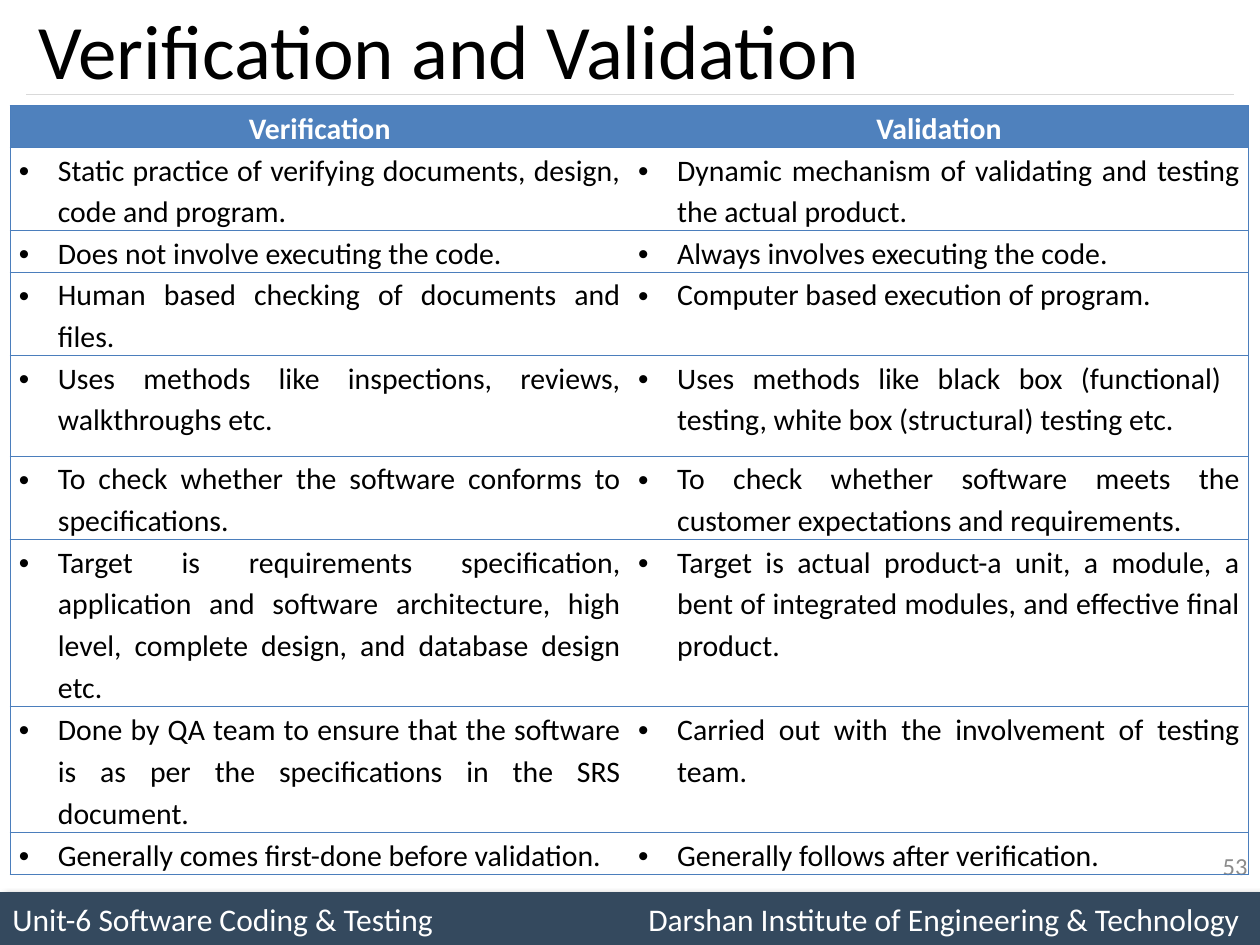
from lxml import etree
from pptx import Presentation
from pptx.dml.color import RGBColor
from pptx.enum import shapes, text
from pptx.oxml import ns
from pptx.util import Inches, Pt

WHITE = RGBColor(0xFF, 0xFF, 0xFF)
BLACK = RGBColor(0, 0, 0)
GREY = RGBColor(0x8C, 0x8C, 0x8C)
RULE = RGBColor(0xD9, 0xD9, 0xD9)
NAVY = RGBColor(0x34, 0x49, 0x5E)
HEADER_BLUE = RGBColor(0x4F, 0x81, 0xBD)
BORDER_BLUE = RGBColor(0x4B, 0x7E, 0xBC)

COMPARISON = [
    ("Verification", "Validation"),
    ("Static practice of verifying documents, design, code and program.",
     "Dynamic mechanism of validating and testing the actual product."),
    ("Does not involve executing the code.",
     "Always involves executing the code."),
    ("Human based checking of documents and files.",
     "Computer based execution of program."),
    ("Uses methods like inspections, reviews, walkthroughs etc.",
     "Uses methods like black box (functional)  testing, "
     "white box (structural) testing etc."),
    ("To check whether the software conforms to specifications.",
     "To check whether software meets the customer expectations and requirements."),
    ("Target is requirements specification, application and software architecture, "
     "high level, complete design, and database design etc.",
     "Target is actual product-a unit, a module, a bent of integrated modules, "
     "and effective final product."),
    ("Done by QA team to ensure that the software is as per the specifications "
     "in the SRS document.",
     "Carried out with the involvement of testing team."),
    ("Generally comes first-done before validation.",
     "Generally follows after verification."),
]
ROW_HEIGHTS = [0.33, 0.66, 0.33, 0.66, 0.8, 0.66, 1.33, 1.0, 0.33]


def add_element(parent, tag, **attributes):
    return etree.SubElement(parent, ns.qn(tag), attributes)


def write(frame, words, size, color, align=text.PP_ALIGN.LEFT, bold=False,
          spacing=None, bullet=False, right_tab=None, wrap=True):
    frame.word_wrap = wrap
    frame.vertical_anchor = text.MSO_ANCHOR.MIDDLE
    paragraph = frame.paragraphs[0]
    paragraph.alignment = align
    properties = paragraph._p.get_or_add_pPr()
    if bullet:
        properties.set("marL", str(Inches(0.31)))
        properties.set("indent", str(Inches(-0.31)))
        add_element(properties, "a:buFont", typeface="Arial")
        add_element(properties, "a:buChar", char="•")
    if right_tab:
        tabs = add_element(properties, "a:tabLst")
        add_element(tabs, "a:tab", pos=str(right_tab), algn="r")
    if spacing:
        paragraph.line_spacing = spacing
    run = paragraph.add_run()
    run.text = words
    run.font.name = "Calibri"
    run.font.size = Pt(size)
    run.font.bold = bold
    run.font.color.rgb = color


def add_footer(slide, left, top, width, height):
    bar = slide.shapes.add_shape(shapes.MSO_SHAPE.RECTANGLE, left, top, width, height)
    bar.fill.solid()
    bar.fill.fore_color.rgb = NAVY
    bar.line.fill.background()
    bar.shadow.inherit = False
    effects = bar._element.spPr.find(ns.qn("a:effectLst"))
    shadow = add_element(effects, "a:outerShdw", blurRad=str(Pt(4)), dist=str(Pt(3)),
                         dir="2700000", algn="tl", rotWithShape="0")
    shade = add_element(shadow, "a:srgbClr", val=str(BLACK))
    add_element(shade, "a:alpha", val="40000")
    write(bar.text_frame,
          "Unit-6 Software Coding & Testing\tDarshan Institute of Engineering & Technology",
          18, WHITE, right_tab=width - Inches(0.26))


def add_title(slide, left, top, width, height):
    rule_y = top + Inches(0.8)
    rule = slide.shapes.add_connector(shapes.MSO_CONNECTOR.STRAIGHT,
                                      left, rule_y, left + width, rule_y)
    rule.line.color.rgb = RULE
    rule.line.width = Pt(0.75)
    add_element(rule._element.spPr, "a:effectLst")
    title = slide.shapes.add_textbox(left, top, width, height)
    write(title.text_frame, "Verification and Validation", 44, BLACK, wrap=False)


def add_page_number(slide, left, top, width, height):
    number = slide.shapes.add_textbox(left, top, width, height)
    write(number.text_frame, "53", 14, GREY, text.PP_ALIGN.RIGHT)


def set_borders(cell, visible):
    """Draw the named sides (L, R, T, B) and hide the others."""
    properties = cell._tc.get_or_add_tcPr()
    for side in "LRTB":
        border = add_element(properties, f"a:ln{side}", w=str(Pt(0.75)))
        if side in visible:
            fill = add_element(border, "a:solidFill")
            add_element(fill, "a:srgbClr", val=str(BORDER_BLUE))
        else:
            add_element(border, "a:noFill")


def add_comparison(slide, left, top, width):
    table = slide.shapes.add_table(len(COMPARISON), 2, left, top, width,
                                   Inches(sum(ROW_HEIGHTS))).table
    table.horz_banding = False
    for column in table.columns:
        column.width = width // 2
    for row, (height, entries) in enumerate(zip(ROW_HEIGHTS, COMPARISON)):
        table.rows[row].height = Inches(height)
        for column, words in enumerate(entries):
            cell = table.cell(row, column)
            cell.margin_left = cell.margin_right = Inches(0.07)
            cell.margin_top = cell.margin_bottom = 0
            set_borders(cell, "TB" + "LR"[column])
            if row == 0:
                cell.fill.solid()
                cell.fill.fore_color.rgb = HEADER_BLUE
                write(cell.text_frame, words, 17, WHITE, text.PP_ALIGN.CENTER,
                      bold=True, spacing=1.15)
            else:
                cell.fill.background()
                write(cell.text_frame, words, 17, BLACK, text.PP_ALIGN.JUSTIFY,
                      spacing=1.15, bullet=True)
            cell.vertical_anchor = text.MSO_ANCHOR.TOP


def main():
    deck = Presentation()
    deck.slide_width, deck.slide_height = Inches(10), Inches(7.5)
    slide = deck.slides.add_slide(deck.slide_layouts[6])
    add_footer(slide, 0, Inches(7.08), Inches(10), Inches(0.42))
    add_title(slide, Inches(0.21), Inches(-0.05), Inches(9.58), Inches(0.88))
    add_page_number(slide, Inches(7.67), Inches(6.67), Inches(2.33), Inches(0.4))
    add_comparison(slide, Inches(0.08), Inches(0.84), Inches(9.83))
    deck.save("out.pptx")


if __name__ == "__main__":
    main()
